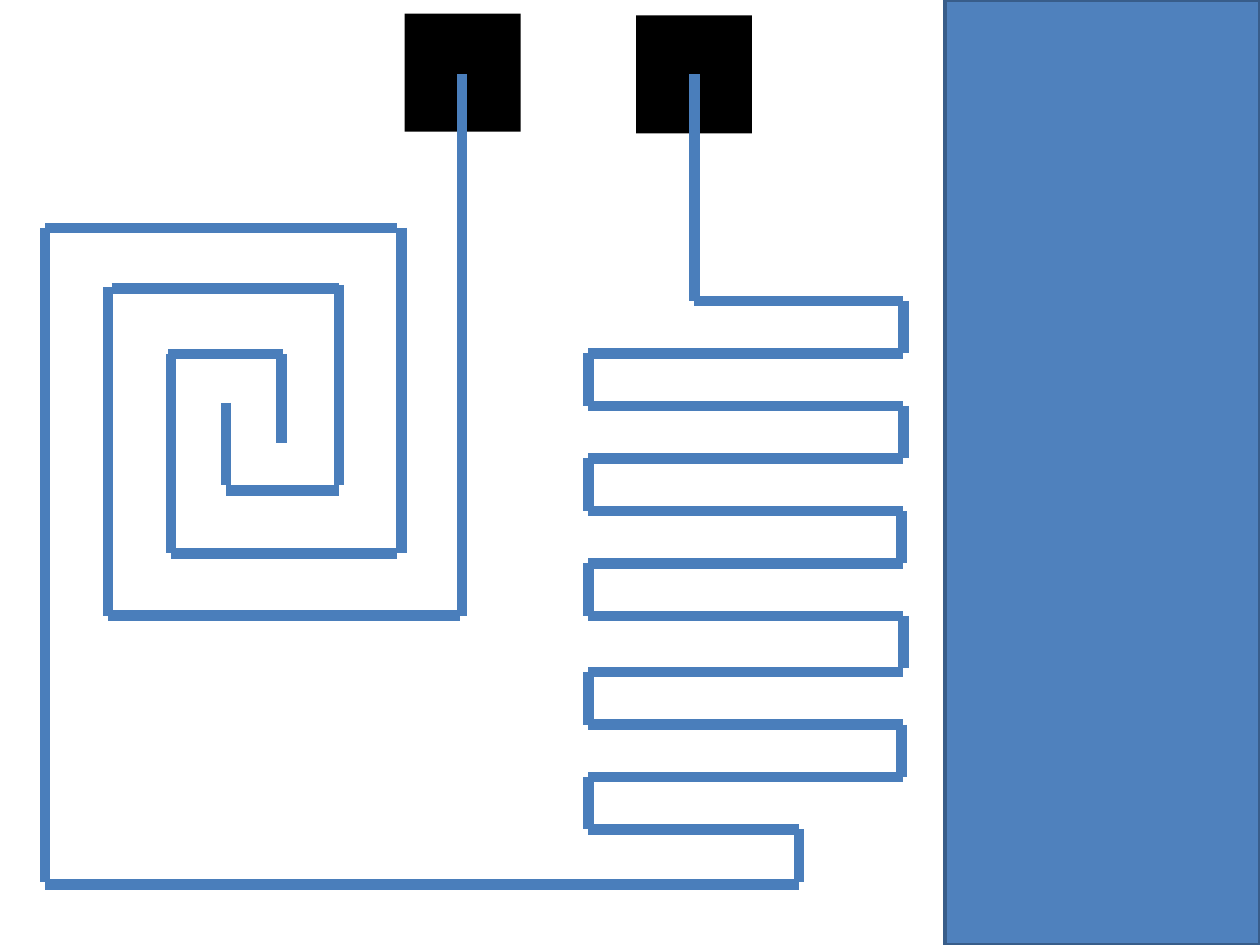
from dataclasses import dataclass

from lxml.etree import SubElement
from pptx import Presentation
from pptx.dml.color import RGBColor
from pptx.enum.shapes import MSO_CONNECTOR, MSO_SHAPE
from pptx.oxml.ns import qn
from pptx.util import Pt


@dataclass(frozen=True)
class Theme:
    """Colours and line widths of the circuit."""
    panel: RGBColor = RGBColor(0x4F, 0x81, 0xBD)
    panel_edge: RGBColor = RGBColor(0x38, 0x5D, 0x8A)
    pad: RGBColor = RGBColor(0, 0, 0)
    wire: RGBColor = RGBColor(0x4A, 0x7E, 0xBB)
    edge_width: float = 2
    wire_width: float = 6


THEME = Theme()


def add_block(page, box, fill, edge=None):
    """Draw a filled rectangle in a (left, top, width, height) box."""
    block = page.shapes.add_shape(MSO_SHAPE.RECTANGLE, *map(Pt, box))
    block.shadow.inherit = False
    block.fill.solid()
    block.fill.fore_color.rgb = fill
    if edge is None:
        block.line.fill.background()
    else:
        block.line.color.rgb = edge
        block.line.width = Pt(THEME.edge_width)


def add_wire(page, start, end):
    """Draw one straight wire between two (x, y) points."""
    wire = page.shapes.add_connector(MSO_CONNECTOR.STRAIGHT, *map(Pt, start + end))
    wire.line.color.rgb = THEME.wire
    wire.line.width = Pt(THEME.wire_width)
    SubElement(wire._element.spPr, qn("a:effectLst"))


def add_meander(page, box, pad_y):
    """Draw the serpentine wire, from its pad lead down to its last drop."""
    left, top, width, _ = box
    right, pitch = left + width, 30
    lead_x, exit_x = left + 60.5, left + 120.25
    row_tops = [top + pitch * row for row in range(7)]
    row_tops += [top + 212 + pitch * row for row in range(4)]
    last = len(row_tops) - 1

    add_wire(page, (lead_x, pad_y), (lead_x, top))
    for row, y in enumerate(row_tops):
        row_left = lead_x if row == 0 else left
        row_right = exit_x if row == last else right
        add_wire(page, (row_left, y), (row_right, y))
        if row == last:
            turn_x = exit_x
        elif row % 2:
            turn_x = left
        else:
            turn_x = right - 1.25 if row in (4, 8) else right
        add_wire(page, (turn_x, y), (turn_x, y + pitch))


def add_coil(page, box, pad_y):
    """Draw the rectangular double spiral with its lead and return wire."""
    left, top, width, height = box
    horizontals = [
        (0, 0, 201), (34.5, 38, 168), (72, 70.5, 136),
        (150, 103.5, 168), (186, 72, 201), (221.5, 36, 237),
        (height, 0, width),
    ]
    verticals = [
        (0, 0, height - 1.5), (36, 34, 222), (72, 72, 186),
        (103.5, 100, 147), (135.25, 72, 123), (168, 32.5, 147),
        (203.75, 0, 186), (238.25, pad_y - top, 221.5),
    ]
    for y, start, end in horizontals:
        add_wire(page, (left + start, top + y), (left + end, top + y))
    for x, start, end in verticals:
        add_wire(page, (left + x, top + start), (left + x, top + end))


def main():
    """Build the circuit slide."""
    deck = Presentation()
    deck.slide_width, deck.slide_height = Pt(720), Pt(540)
    page = deck.slides.add_slide(deck.slide_layouts[6])
    add_block(page, (540, 0, 180, 540), THEME.panel, THEME.panel_edge)
    for left, top in ((363.5, 8.75), (231.25, 7.75)):
        add_block(page, (left, top, 66.25, 67.5), THEME.pad)
    add_meander(page, (336.25, 172, 180, 332), pad_y=42.5)
    add_coil(page, (25.75, 130.25, 430.75, 375.25), pad_y=42.5)
    deck.save("out.pptx")


if __name__ == "__main__":
    main()
